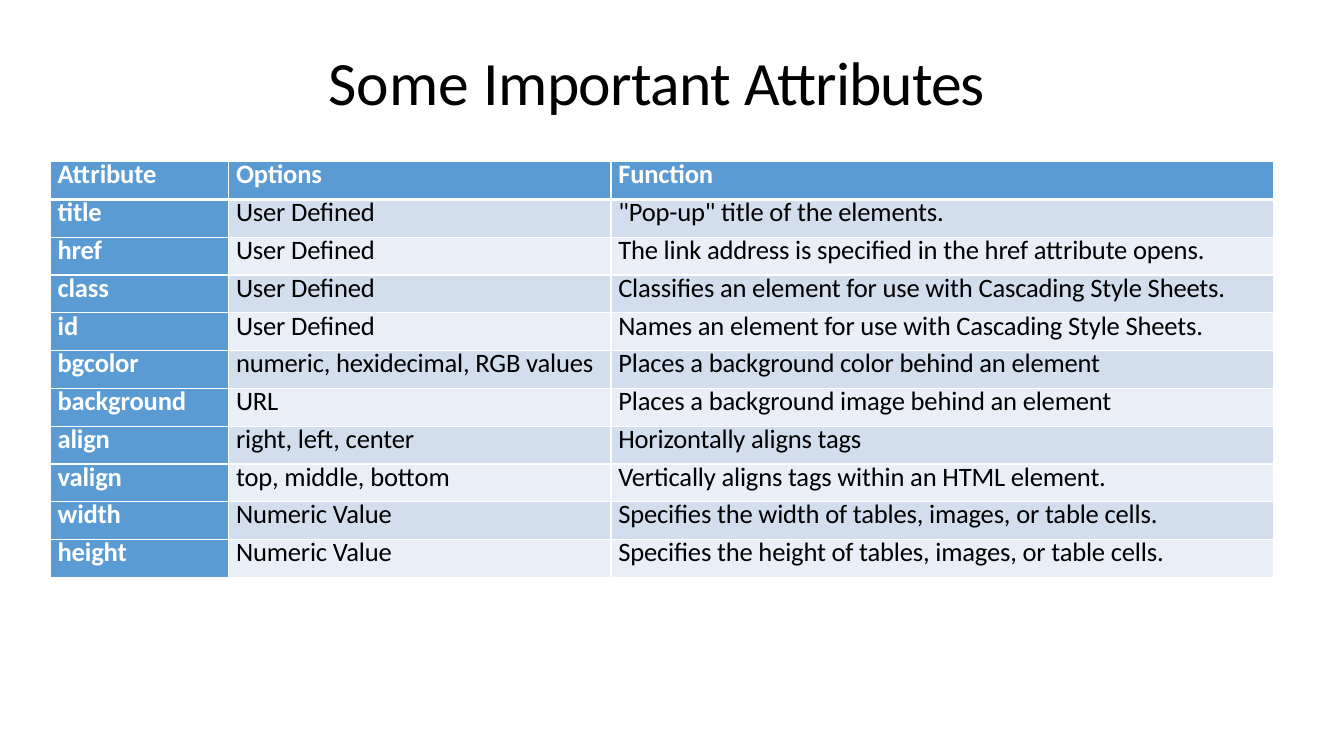
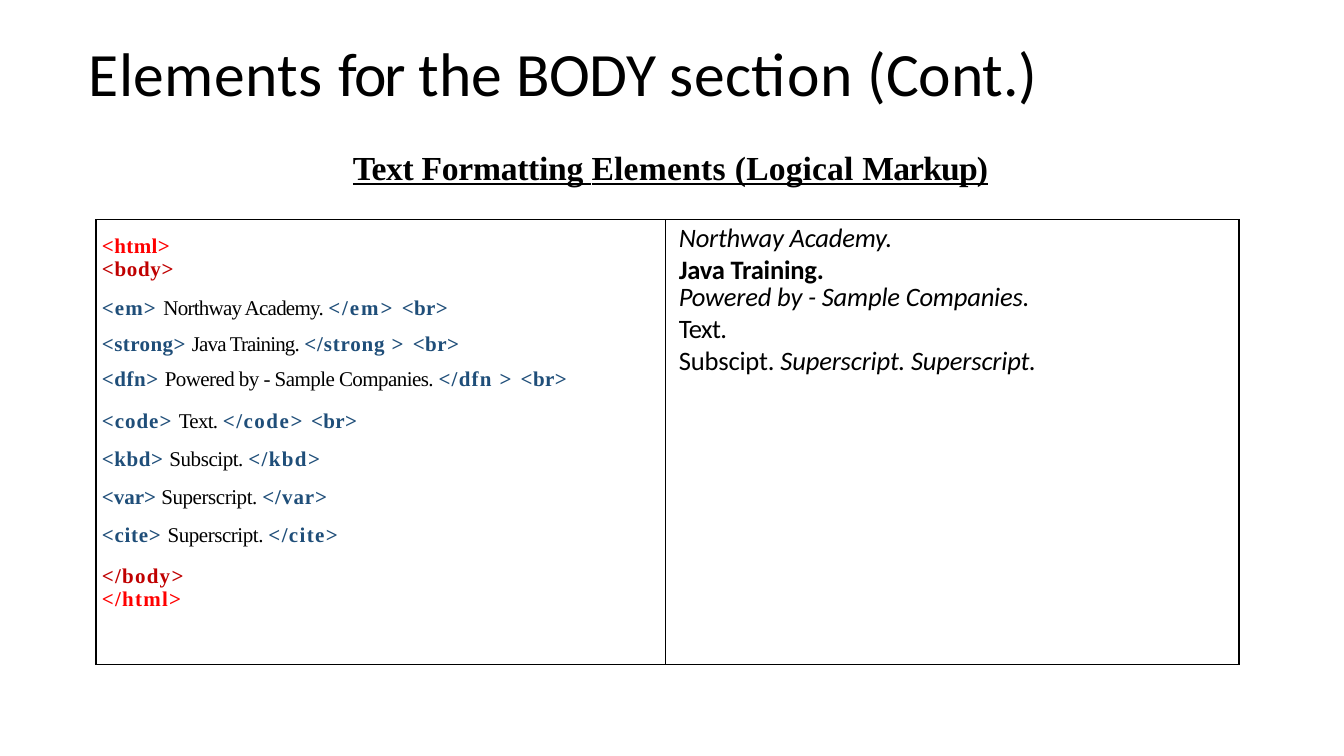
"""Build two slides on HTML attributes and text formatting elements."""

from dataclasses import dataclass
from typing import NamedTuple

from lxml import etree
from pptx import Presentation
from pptx.dml.color import RGBColor
from pptx.enum.text import MSO_ANCHOR
from pptx.oxml.ns import qn
from pptx.util import Pt

TOP = MSO_ANCHOR.TOP
MIDDLE = MSO_ANCHOR.MIDDLE
BLANK_LAYOUT = 6


class Style(NamedTuple):
    font: str
    size: float
    color: str
    bold: bool = False
    italic: bool = False
    underline: bool = False


@dataclass(frozen=True)
class Theme:
    black: str = "000000"
    white: str = "FFFFFF"
    header_fill: str = "5B9BD4"
    band_fills: tuple[str, str] = ("D2DEEE", "EAEEF7")
    title: Style = Style("Calibri", 44, "000000")
    subtitle: Style = Style("Times New Roman", 24, "000000", bold=True, underline=True)
    heading: Style = Style("Calibri", 19, "FFFFFF", bold=True)
    body: Style = Style("Calibri", 19, "000000")
    strong: Style = Style("Calibri", 19, "000000", bold=True)
    emphasis: Style = Style("Calibri", 19, "000000", italic=True)
    code: Style = Style("Times New Roman", 15, "000000")
    tag: Style = Style("Times New Roman", 15, "1F4E79", bold=True)
    html_tag: Style = Style("Times New Roman", 15, "FF0000", bold=True)
    body_tag: Style = Style("Times New Roman", 15, "C00000", bold=True)


THEME = Theme()


class Piece(NamedTuple):
    text: str
    style: Style
    spacing: float = 0


class Line(NamedTuple):
    pieces: list[Piece]
    space_before: float = 0
    line_spacing: float | None = None


class Box(NamedTuple):
    left: float
    top: float
    width: float
    height: float


class Border(NamedTuple):
    side: str
    color: str
    width: float


class MarkupRow(NamedTuple):
    height: float
    code_margin: float
    code: list[Line]
    result_margin: float = 0
    result: list[Line] = []


ATTRIBUTE_COLUMNS = (127.5, 273, 473)
ATTRIBUTE_ROW_HEIGHT = 27
ATTRIBUTES = [
    ("Attribute", "Options", "Function"),
    ("title", "User Defined", '"Pop-up" title of the elements.'),
    ("href", "User Defined", "The link address is specified in the href attribute opens."),
    ("class", "User Defined", "Classifies an element for use with Cascading Style Sheets."),
    ("id", "User Defined", "Names an element for use with Cascading Style Sheets."),
    ("bgcolor", "numeric, hexidecimal, RGB values", "Places a background color behind an element"),
    ("background", "URL", "Places a background image behind an element"),
    ("align", "right, left, center", "Horizontally aligns tags"),
    ("valign", "top, middle, bottom", "Vertically aligns tags within an HTML element."),
    ("width", "Numeric Value", "Specifies the width of tables, images, or table cells."),
    ("height", "Numeric Value", "Specifies the height of tables, images, or table cells."),
]

MARKUP_COLUMNS = (407, 409.5)
LINE_BREAK = Piece("<br>", THEME.tag, 0.3)


def element(
    opening: Piece | tuple[str, float],
    content: tuple[str, float],
    closing: list[tuple[str, float]],
    breaks: bool = False,
    space_before: float = 0,
) -> Line:
    """Return one line of markup: opening tag, content and closing tag."""
    pieces = [Piece(opening[0], THEME.tag, opening[1]), Piece(content[0], THEME.code, content[1])]
    pieces += [Piece(text, THEME.tag, spacing) for text, spacing in closing]
    return Line(pieces + [LINE_BREAK] if breaks else pieces, space_before)


MARKUP = [
    MarkupRow(
        49, 10.9,
        [Line([Piece("<html>", THEME.html_tag, 0.3)]), Line([Piece("<body>", THEME.body_tag, 0.5)])],
        1.9,
        [
            Line([Piece("Northway Academy.", THEME.emphasis, -0.15)]),
            Line([Piece("Java Training.", THEME.strong, -0.15)]),
        ],
    ),
    MarkupRow(
        84, 5.9,
        [
            element(("<em> ", 0.8), ("Northway Academy. ", -0.55), [("</em> ", 1.4)], True),
            element(("<strong> ", 0.3), ("Java Training. ", -0.6),
                    [("</strong ", 0.6), ("> ", 1.4)], True, 9),
            element(("<dfn> ", 0.4), ("Powered by - Sample Companies. ", -0.4),
                    [("</dfn ", 0.9), ("> ", 1.4)], True, 9),
        ],
        0,
        [
            Line([Piece("Powered by - Sample Companies.", THEME.emphasis, -0.1)], 0, 17.9),
            Line([Piece("Text.", THEME.body, -0.4)]),
            Line([
                Piece("Subscipt. ", THEME.body, -0.1),
                Piece("Superscript. Superscript.", THEME.emphasis, -0.1),
            ]),
        ],
    ),
    MarkupRow(27, 3, [element(("<code> ", 0.7), ("Text. ", -0.5), [("</code> ", 1.1)], True)]),
    MarkupRow(27, 3, [element(("<kbd> ", 0.4), ("Subscipt. ", -0.3), [("</kbd>", 1)])]),
    MarkupRow(27, 3, [element(("<var> ", 0), ("Superscript. ", -0.3), [("</var>", 0.7)])]),
    MarkupRow(28, 3, [element(("<cite> ", 0.5), ("Superscript. ", -0.3), [("</cite>", 1)])]),
    MarkupRow(
        76, 4.2,
        [Line([Piece("</body>", THEME.body_tag, 0.9)]), Line([Piece("</html>", THEME.html_tag, 0.9)])],
    ),
]


def write_lines(text_frame, lines: list[Line]) -> None:
    """Fill a text frame with formatted lines."""
    for index, line in enumerate(lines):
        paragraph = text_frame.add_paragraph() if index else text_frame.paragraphs[0]
        paragraph.space_before = Pt(line.space_before)
        if line.line_spacing:
            paragraph.line_spacing = Pt(line.line_spacing)
        for piece in line.pieces:
            run = paragraph.add_run()
            run.text = piece.text
            font = run.font
            font.name, font.size = piece.style.font, Pt(piece.style.size)
            font.bold, font.italic = piece.style.bold, piece.style.italic
            font.underline = piece.style.underline
            font.color.rgb = RGBColor.from_string(piece.style.color)
            run._r.get_or_add_rPr().set("spc", str(round(piece.spacing * 100)))


def add_text(slide, box: Box, style: Style, words: list[tuple[str, float]], anchor) -> None:
    """Add a text box holding one line of individually spaced words."""
    shape = slide.shapes.add_textbox(*map(Pt, box))
    text_frame = shape.text_frame
    text_frame.word_wrap = True
    text_frame.vertical_anchor = anchor
    text_frame.margin_left = text_frame.margin_right = text_frame.margin_bottom = 0
    text_frame.margin_top = Pt(1)
    write_lines(text_frame, [Line([Piece(text, style, spacing) for text, spacing in words])])


def add_plain_table(slide, left: float, top: float, columns: tuple, rows: list[float]):
    """Add a table without style banding, sized by its columns and rows."""
    box = Box(left, top, sum(columns), sum(rows))
    table = slide.shapes.add_table(len(rows), len(columns), *map(Pt, box)).table
    table.first_row = table.horz_banding = False
    for column, width in zip(table.columns, columns):
        column.width = Pt(width)
    for row, height in zip(table.rows, rows):
        row.height = Pt(height)
    return table


def format_cell(cell, left: float, top: float, borders: list[Border], fill: str | None) -> None:
    """Set the margins, borders and fill of a cell."""
    cell.margin_left, cell.margin_top = Pt(left), Pt(top)
    cell.margin_right = cell.margin_bottom = 0
    cell.vertical_anchor = TOP
    properties = cell._tc.get_or_add_tcPr()
    by_side = {border.side: border for border in borders}
    for side in "LRTB":
        line = etree.SubElement(properties, qn(f"a:ln{side}"))
        if side in by_side:
            line.set("w", str(Pt(by_side[side].width)))
            solid = etree.SubElement(line, qn("a:solidFill"))
            etree.SubElement(solid, qn("a:srgbClr")).set("val", by_side[side].color)
        else:
            line.set("w", "0")
            etree.SubElement(line, qn("a:noFill"))
    if fill:
        cell.fill.solid()
        cell.fill.fore_color.rgb = RGBColor.from_string(fill)
    else:
        cell.fill.background()


def add_attributes_slide(presentation) -> None:
    """Add the slide listing the attributes."""
    slide = presentation.slides.add_slide(presentation.slide_layouts[BLANK_LAYOUT])
    words = [("Some ", 0.1), ("Important ", -0.5), ("Attributes", -0.7)]
    add_text(slide, Box(234.5, 30, 554, 54), THEME.title, words, MIDDLE)
    heights = [ATTRIBUTE_ROW_HEIGHT] * len(ATTRIBUTES)
    table = add_plain_table(slide, 36, 115.5, ATTRIBUTE_COLUMNS, heights)
    for row, texts in enumerate(ATTRIBUTES):
        for column, text in enumerate(texts):
            is_heading = row == 0 or column == 0
            fill = THEME.header_fill if is_heading else THEME.band_fills[(row - 1) % 2]
            widths = {"L": 1, "R": 1, "T": 3 if row == 1 else 1, "B": 3 if row == 0 else 1}
            borders = [Border(side, THEME.white, width) for side, width in widths.items()]
            cell = table.cell(row, column)
            format_cell(cell, 5.2, 0, borders, fill)
            style = THEME.heading if is_heading else THEME.body
            write_lines(cell.text_frame, [Line([Piece(text, style, -0.1)], 0, 20.9)])


def add_markup_slide(presentation) -> None:
    """Add the slide showing logical markup beside its result."""
    slide = presentation.slides.add_slide(presentation.slide_layouts[BLANK_LAYOUT])
    words = [("Elements ", 0.3), ("for ", -1.2), ("the ", 0), ("BODY ", -0.3),
             ("section ", 0.3), ("(Cont.)", -0.1)]
    add_text(slide, Box(63.5, 24, 835, 54), THEME.title, words, MIDDLE)
    words = [("Text ", -0.3), ("Formatting ", -0.2), ("Elements ", 0.2),
             ("(Logical ", 0.1), ("Markup)", -0.6)]
    add_text(slide, Box(252, 104, 459, 30), THEME.subtitle, words, TOP)
    table = add_plain_table(slide, 68.5, 157, MARKUP_COLUMNS, [row.height for row in MARKUP])
    edges = {0: "T", len(MARKUP) - 1: "B"}
    for index, row in enumerate(MARKUP):
        borders = [Border(side, THEME.black, 1) for side in "LR" + edges.get(index, "")]
        code_cell, result_cell = table.cell(index, 0), table.cell(index, 1)
        format_cell(code_cell, 4.3, row.code_margin, borders, None)
        format_cell(result_cell, 9.4, row.result_margin, borders, None)
        write_lines(code_cell.text_frame, row.code)
        write_lines(result_cell.text_frame, row.result)


def main() -> None:
    """Build and save the presentation."""
    presentation = Presentation()
    presentation.slide_width, presentation.slide_height = Pt(960), Pt(540)
    add_attributes_slide(presentation)
    add_markup_slide(presentation)
    presentation.save("out.pptx")


if __name__ == "__main__":
    main()
